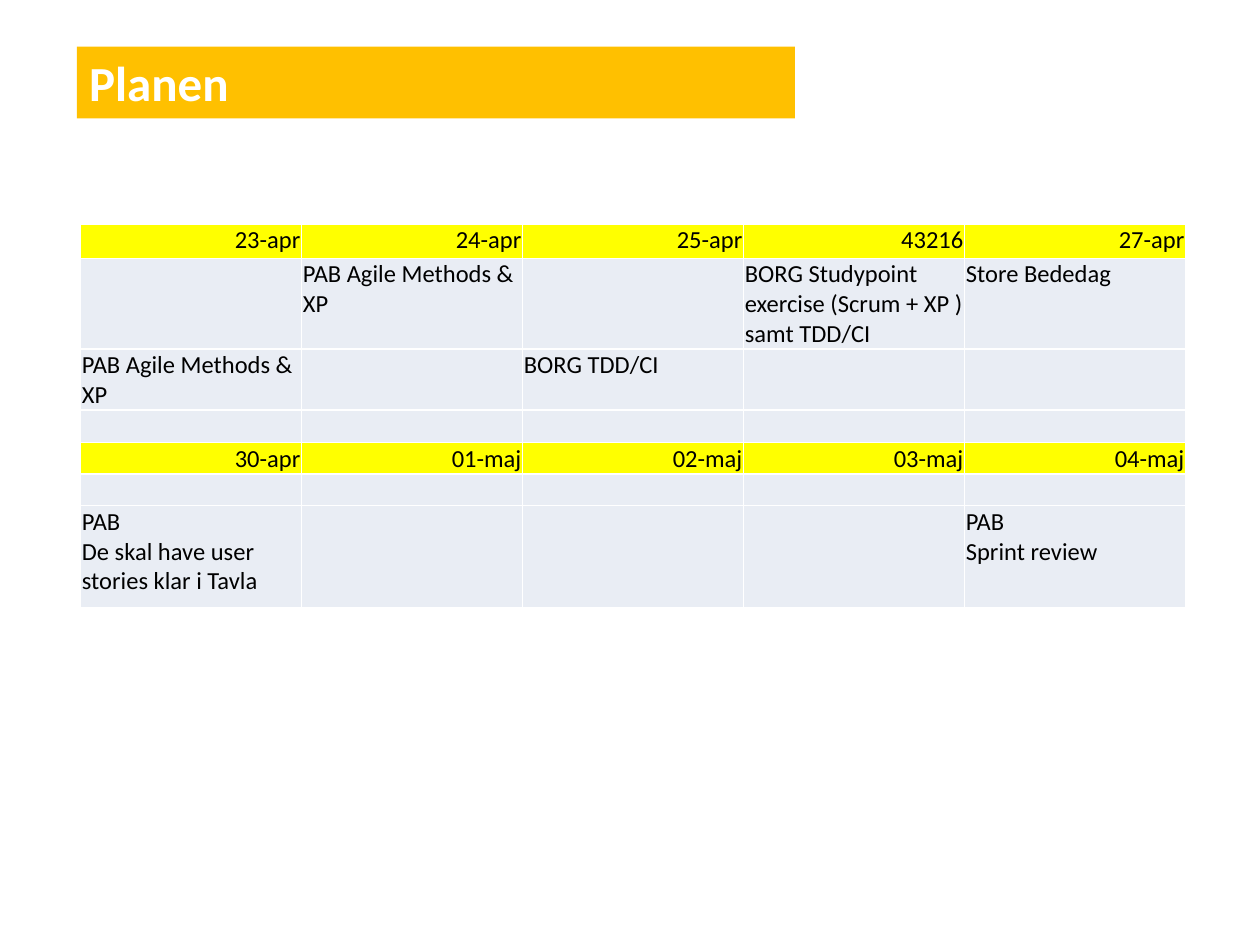
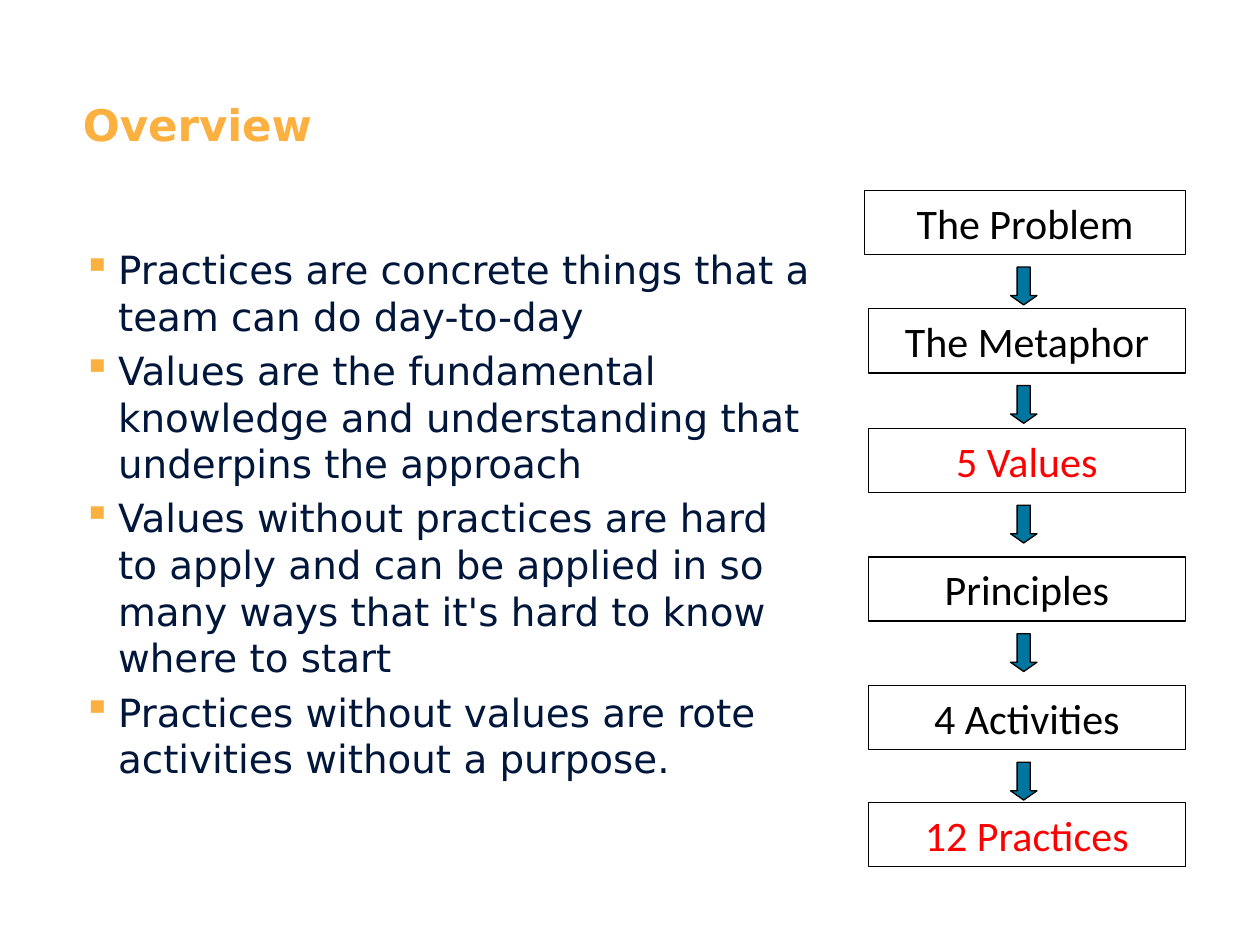
"""Build a two-slide deck with a course plan and an agile overview."""
from dataclasses import dataclass

from pptx import Presentation
from pptx import util as u
from pptx.dml import color
from pptx.enum import shapes, text
from pptx.oxml import parse_xml
from pptx.oxml import ns


@dataclass(frozen=True)
class Theme:
    """Colours, fonts and type sizes shared by the slides."""
    plain_font: str = "Calibri"
    wide_font: str = "DejaVu Sans"
    white: str = "FFFFFF"
    black: str = "000000"
    red: str = "FF0000"
    band: str = "FFC000"
    accent: str = "FBB040"
    navy: str = "00163B"
    arrow: str = "00759E"
    date_fill: str = "FFFF00"
    cell_fill: str = "E9EDF4"
    band_size: float = 28
    heading_size: float = 24.9
    bullet_size: float = 22.2
    box_size: float = 24
    table_size: float = 14
    line_width: float = 0.75


THEME = Theme()

PLAN_ROWS = [
    (0.27, ["23-apr", "24-apr", "25-apr", "43216", "27-apr"]),
    (0.72, ["", "PAB Agile Methods & XP", "",
            "BORG Studypoint exercise (Scrum + XP ) samt TDD/CI", "Store Bededag"]),
    (0.48, ["PAB Agile Methods & XP", "", "BORG TDD/CI", "", ""]),
    (0.26, [""] * 5),
    (0.25, ["30-apr", "01-maj", "02-maj", "03-maj", "04-maj"]),
    (0.25, [""] * 5),
    (0.81, ["PAB\nDe skal have user stories klar i Tavla", "", "", "",
            "PAB\nSprint review"]),
]
DATE_ROWS = (0, 4)

OVERVIEW_POINTS = [
    "Practices are concrete things that a team can do day-to-day",
    "Values are the fundamental knowledge and understanding that underpins the approach",
    "Values without practices are hard to apply and can be applied in so many ways "
    "that it's hard to know where to start",
    "Practices without values are rote activities without a purpose.",
]

STEPS = [
    ("The Problem", 1.51, THEME.black),
    ("The Metaphor", 2.45, THEME.black),
    ("5 Values", 3.40, THEME.red),
    ("Principles", 4.42, THEME.black),
    ("4 Activities", 5.44, THEME.black),
    ("12 Practices", 6.37, THEME.red),
]


def rgb(value):
    """Turn a hex string into a colour."""
    return color.RGBColor.from_string(value)


def inches(*lengths):
    """Turn numbers into lengths in inches."""
    return [u.Inches(length) for length in lengths]


def write(frame, content, font, size, ink, bold=False, align=text.PP_ALIGN.LEFT):
    """Set the text of a frame and format every run."""
    frame.text = content
    frame.word_wrap = True
    for paragraph in frame.paragraphs:
        paragraph.alignment = align
        for run in paragraph.runs:
            run.font.name = font
            run.font.size = u.Pt(size)
            run.font.bold = bold
            run.font.color.rgb = rgb(ink)


def add_preset(slide, kind, box, fill=None, line=None):
    """Add a flat preset shape with an optional fill and outline."""
    shape = slide.shapes.add_shape(kind, *inches(*box))
    shape.shadow.inherit = False
    if fill:
        shape.fill.solid()
        shape.fill.fore_color.rgb = rgb(fill)
    else:
        shape.fill.background()
    if line:
        shape.line.color.rgb = rgb(line)
        shape.line.width = u.Pt(THEME.line_width)
    else:
        shape.line.fill.background()
    return shape


def add_band_title(slide, title):
    """Add a title on a coloured band."""
    band = add_preset(slide, shapes.MSO_SHAPE.RECTANGLE, (0.61, 0.37, 5.7, 0.57), THEME.band)
    band.text_frame.vertical_anchor = text.MSO_ANCHOR.TOP
    write(band.text_frame, title, THEME.plain_font, THEME.band_size, THEME.white, bold=True)


def add_body_text(slide, box, content, size, ink, bold=False, bullet=None):
    """Add hanging paragraphs with an optional bullet sign."""
    frame = slide.shapes.add_textbox(*inches(*box)).text_frame
    write(frame, content, THEME.wide_font, size, ink, bold)
    hang = u.Inches(0.28)
    for paragraph in frame.paragraphs:
        paragraph.space_before = u.Pt(round(size * 0.2, 1))
        properties = paragraph._p.get_or_add_pPr()
        properties.set("marL", str(hang))
        properties.set("indent", str(-hang))
        if bullet:
            properties.append(parse_xml(
                f'<a:buClr {ns.nsdecls("a")}><a:srgbClr val="{THEME.accent}"/></a:buClr>'))
            properties.append(parse_xml(f'<a:buChar {ns.nsdecls("a")} char="{bullet}"/>'))


def style_cell(cell, content, is_date):
    """Write one table cell with its margins, borders and fill."""
    cell.margin_left = cell.margin_right = cell.margin_top = u.Inches(0.01)
    cell.margin_bottom = 0
    align = text.PP_ALIGN.RIGHT if is_date else text.PP_ALIGN.LEFT
    write(cell.text_frame, content, THEME.plain_font, THEME.table_size, THEME.black, align=align)
    if not content:
        cell.text_frame.paragraphs[0]._p.append(parse_xml(
            f'<a:endParaRPr {ns.nsdecls("a")} sz="{THEME.table_size * 100}"/>'))
    properties = cell._tc.get_or_add_tcPr()
    for side in ("lnL", "lnR", "lnT", "lnB"):
        properties.append(parse_xml(
            f'<a:{side} {ns.nsdecls("a")} w="{u.Pt(1)}"><a:solidFill>'
            f'<a:srgbClr val="{THEME.white}"/></a:solidFill></a:{side}>'))
    cell.fill.solid()
    cell.fill.fore_color.rgb = rgb(THEME.date_fill if is_date else THEME.cell_fill)


def add_plan_table(slide):
    """Add the two-week plan."""
    height = sum(row_height for row_height, _ in PLAN_ROWS)
    frame = slide.shapes.add_table(len(PLAN_ROWS), 5, *inches(0.64, 1.78, 8.77, height))
    table = frame.table
    table.first_row = table.horz_banding = False
    for row, (row_height, entries) in enumerate(PLAN_ROWS):
        table.rows[row].height = u.Inches(row_height)
        for column, entry in enumerate(entries):
            style_cell(table.cell(row, column), entry, row in DATE_ROWS)


def add_step(slide, label, top, ink, left):
    """Add one box of the step chain, ending at the shared right edge."""
    right_edge = 9.41
    box = add_preset(slide, shapes.MSO_SHAPE.RECTANGLE,
                     (left, top, right_edge - left, 0.51), line=THEME.black)
    write(box.text_frame, label, THEME.plain_font, THEME.box_size, ink,
          align=text.PP_ALIGN.CENTER)


def add_step_arrow(slide, step_top):
    """Add the arrow below a step."""
    arrow = add_preset(slide, shapes.MSO_SHAPE.DOWN_ARROW, (8.02, step_top + 0.61, 0.21, 0.3),
                       THEME.arrow, THEME.black)
    arrow.adjustments[1] = 0.35


def add_step_chain(slide):
    """Add all steps with an arrow between neighbours."""
    for index, (label, top, ink) in enumerate(STEPS):
        add_step(slide, label, top, ink, left=6.89 if index else 6.86)
        if index < len(STEPS) - 1:
            add_step_arrow(slide, top)


def main():
    """Build and save the presentation."""
    presentation = Presentation()
    presentation.slide_width, presentation.slide_height = inches(10, 7.5)
    blank = presentation.slide_layouts[6]

    plan = presentation.slides.add_slide(blank)
    add_plan_table(plan)
    add_band_title(plan, "Planen")

    overview = presentation.slides.add_slide(blank)
    add_body_text(overview, (0.56, 0.73, 8.84, 1.25), "Overview",
                  THEME.heading_size, THEME.accent, bold=True)
    add_body_text(overview, (0.56, 1.9, 6.04, 4.59), "\n".join(OVERVIEW_POINTS),
                  THEME.bullet_size, THEME.navy, bullet="▪")
    add_step_chain(overview)

    presentation.save("out.pptx")


if __name__ == "__main__":
    main()
